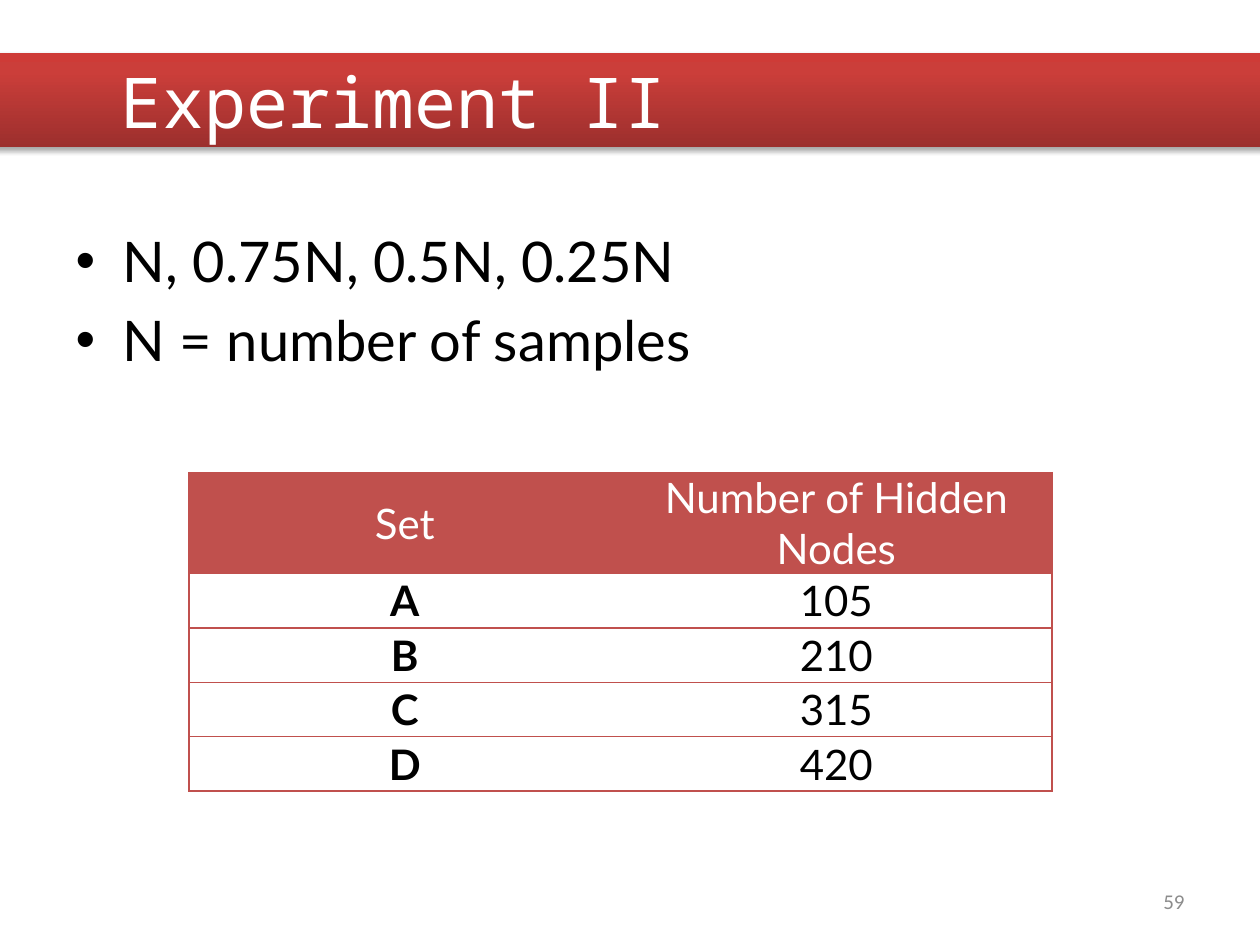
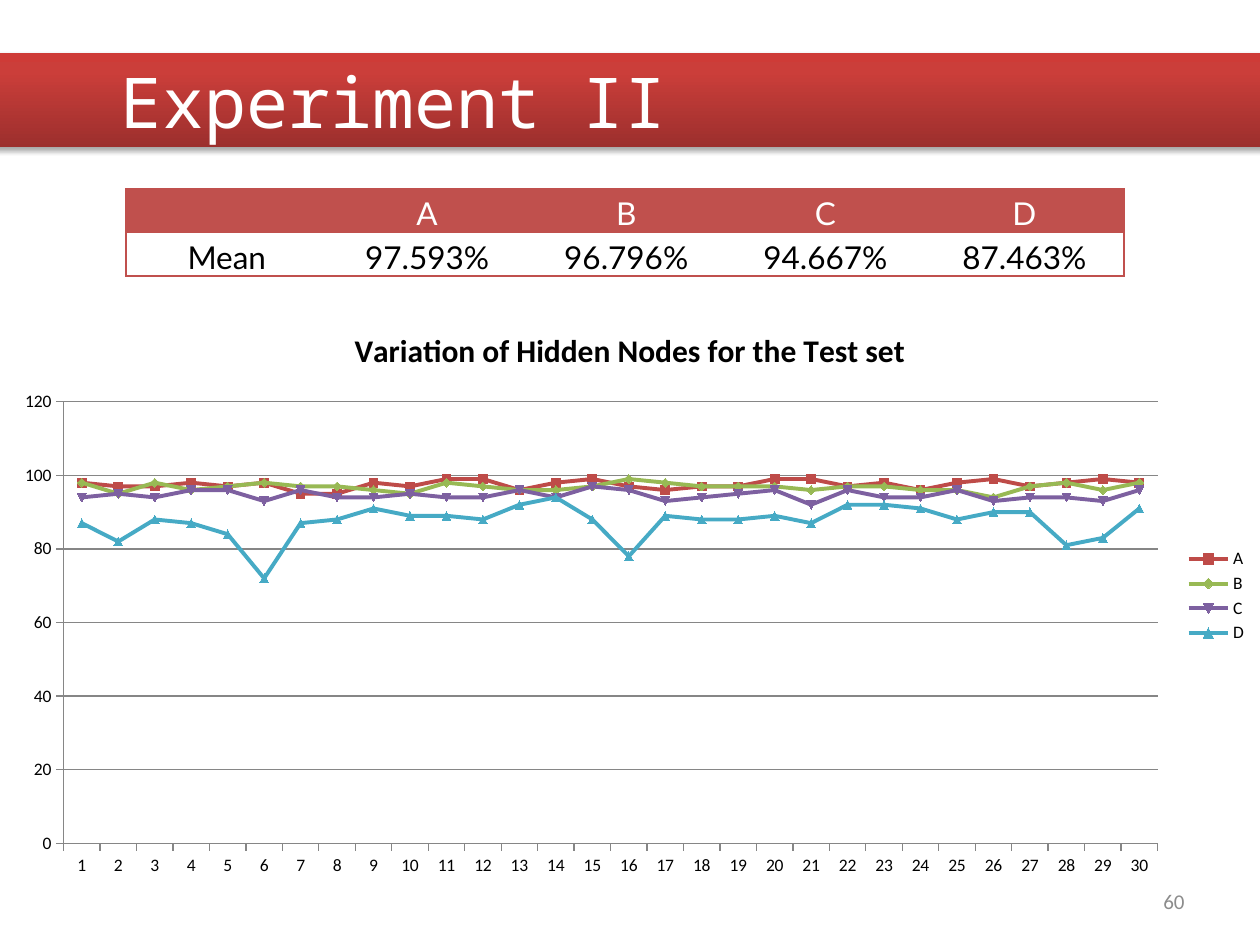
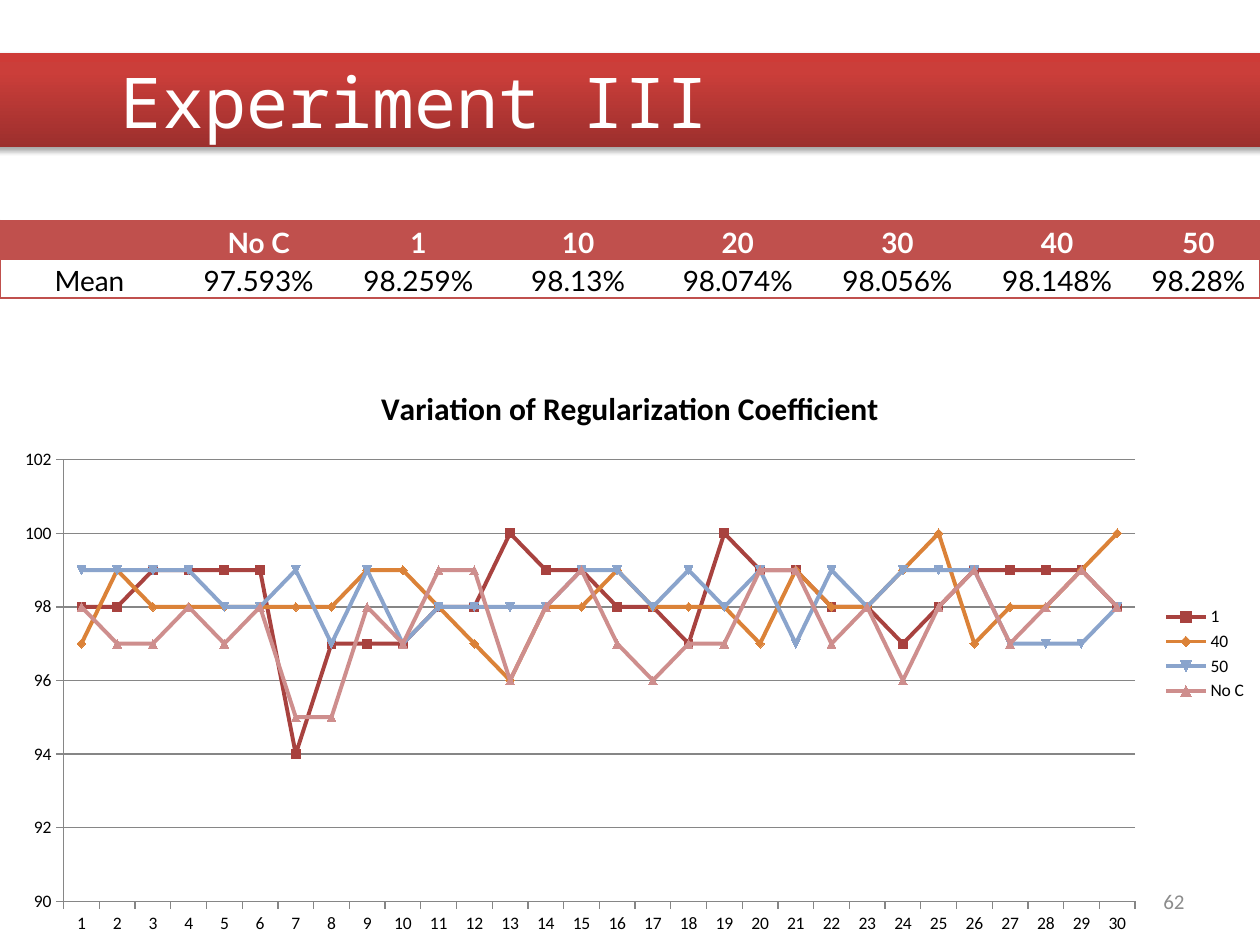
"""Build three slides on the results of neural network experiments."""
import pptx
import pptx.chart.data
import pptx.dml.color
import pptx.enum.chart
import pptx.enum.text
import pptx.oxml
import pptx.oxml.ns
import pptx.util

UNIT = pptx.util.Inches(0.25)
COLS, ROWS = 40, 30
RED, GRID, GREY = "C0504D", "868686", "8C8C8C"
WHITE, BLACK = "FFFFFF", "000000"
BODY, PLAIN, MONO = "Lato", "Calibri", "Noto Sans Mono"
BARE = "{2D5ABB26-0587-4C30-8999-92F81FD0307C}"
ALIGN = pptx.enum.text.PP_ALIGN
ANCHOR = pptx.enum.text.MSO_ANCHOR

HIDDEN = [
    ("A", "BE4B48", [98, 97, 97, 98, 97, 98, 95, 95, 98, 97, 99, 99, 96, 98, 99,
                     97, 96, 97, 97, 99, 99, 97, 98, 96, 98, 99, 97, 98, 99, 98]),
    ("B", "98B954", [98, 95, 98, 96, 97, 98, 97, 97, 96, 95, 98, 97, 96, 96, 97,
                     99, 98, 97, 97, 97, 96, 97, 97, 96, 96, 94, 97, 98, 96, 98]),
    ("C", "7D60A0", [94, 95, 94, 96, 96, 93, 96, 94, 94, 95, 94, 94, 96, 94, 97,
                     96, 93, 94, 95, 96, 92, 96, 94, 94, 96, 93, 94, 94, 93, 96]),
    ("D", "46AAC5", [87, 82, 88, 87, 84, 72, 87, 88, 91, 89, 89, 88, 92, 94, 88,
                     78, 89, 88, 88, 89, 87, 92, 92, 91, 88, 90, 90, 81, 83, 91]),
]
COEFFS = [
    ("1", "A8423F", [98, 98, 99, 99, 99, 99, 94, 97, 97, 97, 98, 98, 100, 99, 99,
                     98, 98, 97, 100, 99, 99, 98, 98, 97, 98, 99, 99, 99, 99, 98]),
    ("40", "DB8238", [97, 99, 98, 98, 98, 98, 98, 98, 99, 99, 98, 97, 96, 98, 98,
                      99, 98, 98, 98, 97, 99, 98, 98, 99, 100, 97, 98, 98, 99, 100]),
    ("50", "8AA4CC", [99, 99, 99, 99, 98, 98, 99, 97, 99, 97, 98, 98, 98, 98, 99,
                      99, 98, 99, 98, 99, 97, 99, 98, 99, 99, 99, 97, 97, 97, 98]),
    ("No C", "CE8E8D", HIDDEN[0][2]),
]


def paint(code):
    """Turn a hex string into a colour."""
    return pptx.dml.color.RGBColor.from_string(code)


def span(*cells):
    """Turn grid columns and rows into lengths."""
    return [round(cell * UNIT) for cell in cells]


def place(shape, *cells):
    """Move a shape to a box on the grid."""
    shape.left, shape.top, shape.width, shape.height = span(*cells)


def style(font, size, color, face=PLAIN, bold=False):
    """Format a font."""
    font.size, font.name, font.bold = pptx.util.Pt(size), face, bold
    font.color.rgb = paint(color)


def write(frame, text, size=12, color=BLACK, face=PLAIN, bold=False,
          align=ALIGN.LEFT, space=None):
    """Fill a text frame, one paragraph to a line."""
    frame.text = text
    for para in frame.paragraphs:
        para.alignment = align
        if space:
            para.line_spacing = space
        for run in para.runs:
            style(run.font, size, color, face, bold)


def extend(parent, *parts):
    """Append drawing elements given as XML."""
    for name, attrs, inner in parts:
        parent.append(pptx.oxml.parse_xml(
            f'<a:{name} {pptx.oxml.ns.nsdecls("a")} {attrs}>{inner}</a:{name}>'))


def solid(code, inner=""):
    """Give the XML of a colour."""
    return f'<a:srgbClr val="{code}">{inner}</a:srgbClr>'


def band(title, text):
    """Make the title a red band across the slide."""
    place(title, -0.68, 1.68, COLS + 1.32, 3)
    stops = "".join(f'<a:gs pos="{share * 1000}">{solid(code)}</a:gs>' for share, code
                    in [(0, "9C2F2D"), (80, "CB3E3A"), (100, "CE3B37")])
    shade = solid(BLACK, '<a:alpha val="35000"/>')
    extend(title.element.spPr,
           ("prstGeom", 'prst="roundRect"', "<a:avLst/>"),
           ("gradFill", 'rotWithShape="1"',
            f'<a:gsLst>{stops}</a:gsLst><a:lin ang="16200000" scaled="0"/>'),
           ("effectLst", "", '<a:outerShdw blurRad="39400" dist="22900" dir="5400000" '
            f'rotWithShape="0">{shade}</a:outerShdw>'))
    frame = title.text_frame
    frame.auto_size = pptx.enum.text.MSO_AUTO_SIZE.NONE
    frame.vertical_anchor = ANCHOR.MIDDLE
    frame.margin_left = pptx.util.Inches(1.13)
    write(frame, text, size=40, color=WHITE, face=MONO)


def page(deck, layout, title, number):
    """Add a slide with its band and number."""
    slide = deck.slides.add_slide(deck.slide_layouts.get_by_name(layout))
    band(slide.shapes.title, title)
    frame = slide.shapes.add_textbox(*span(28.68, 27.8, 9.32, 1.6)).text_frame
    frame.word_wrap = True
    frame.vertical_anchor = ANCHOR.MIDDLE
    write(frame, str(number), color=GREY, align=ALIGN.RIGHT)
    return slide


def points(body, lines):
    """Fill the body with bullets."""
    place(body, 2, 7, 36, 19.8)
    write(body.text_frame, "\n".join(lines), size=32, face=BODY)
    body.text_frame.paragraphs[0].space_before = pptx.util.Pt(0)


def edge(cell, sides):
    """Draw red borders on the named sides of a cell."""
    extend(cell._tc.get_or_add_tcPr(),
           *((f"ln{side}", 'w="12700"', f"<a:solidFill>{solid(RED)}</a:solidFill>")
             for side in sides))


def table(slide, left, top, widths, heights, rows, size, space=None,
          strong=False, keys=False):
    """Add a table with a red head row and an outline."""
    grid = slide.shapes.add_table(
        len(rows), len(widths), *span(left, top, sum(widths), sum(heights))).table
    grid._tbl.tblPr.find(pptx.oxml.ns.qn("a:tableStyleId")).text = BARE
    for col, width in zip(grid.columns, span(*widths)):
        col.width = width
    for row, height in zip(grid.rows, span(*heights)):
        row.height = height
    last = len(widths) - 1
    for r, texts in enumerate(rows):
        for c, text in enumerate(texts):
            cell = grid.cell(r, c)
            cell.margin_left = cell.margin_right = pptx.util.Inches(0.07)
            cell.margin_top = cell.margin_bottom = 0
            cell.vertical_anchor = ANCHOR.MIDDLE
            edge(cell, "L" * (c == 0) + "R" * (c == last) + "TB")
            if r == 0:
                cell.fill.solid()
                cell.fill.fore_color.rgb = paint(RED)
            else:
                cell.fill.background()
            if text:
                write(cell.text_frame, text, size=size, face=BODY, space=space,
                      color=BLACK if r else WHITE, align=ALIGN.CENTER,
                      bold=keys and c == 0 if r else strong)


def chart(slide, top, title, series, low, high, step):
    """Add a line chart of thirty runs."""
    kinds = pptx.enum.chart
    data = pptx.chart.data.CategoryChartData()
    data.categories = [str(run) for run in range(1, 31)]
    for name, _, values in series:
        data.add_series(name, values)
    plot = slide.shapes.add_chart(
        kinds.XL_CHART_TYPE.LINE_MARKERS, *span(0, top, COLS, 18.48), data).chart
    style(plot.font, 10, BLACK)
    plot.has_title = True
    write(plot.chart_title.text_frame, title, size=18, bold=True, align=ALIGN.CENTER)
    plot.has_legend = True
    plot.legend.position = kinds.XL_LEGEND_POSITION.RIGHT
    plot.legend.include_in_layout = False
    plot.plots[0].vary_by_categories = False
    for line, (_, color, _) in zip(plot.plots[0].series, series):
        line.smooth = False
        line.format.line.width = pptx.util.Pt(2.25)
        line.format.line.color.rgb = paint(color)
        line.marker.format.fill.solid()
        line.marker.format.fill.fore_color.rgb = paint(color)
        line.marker.format.line.color.rgb = paint(color)
    scale = plot.value_axis
    scale.minimum_scale, scale.maximum_scale, scale.major_unit = low, high, step
    scale.has_major_gridlines = True
    for part in (scale, plot.category_axis, scale.major_gridlines):
        part.format.line.color.rgb = paint(GRID)
        part.format.line.width = pptx.util.Pt(0.75)
    for axis in (scale, plot.category_axis):
        axis.major_tick_mark = kinds.XL_TICK_MARK.OUTSIDE


def main():
    """Build and save the deck."""
    deck = pptx.Presentation()
    deck.slide_width, deck.slide_height = span(COLS, ROWS)

    slide = page(deck, "Title and Content", "Experiment II", 59)
    points(slide.placeholders[1], ["N, 0.75N, 0.5N, 0.25N", "N = number of samples"])
    table(slide, 6, 15, [13.7] * 2, [3.2] + [1.73] * 4,
          [("Set", "Number of Hidden Nodes"), ("A", "105"), ("B", "210"),
           ("C", "315"), ("D", "420")], size=24, keys=True)

    slide = page(deck, "Title Only", "Experiment II", 60)
    chart(slide, 9.68, "Variation of Hidden Nodes for the Test set", HIDDEN, 0, 120, 20)
    table(slide, 4, 6, [6.4] + [6.32] * 4, [1.38] * 2,
          [("", "A", "B", "C", "D"),
           ("Mean", "97.593%", "96.796%", "94.667%", "87.463%")], size=18, space=1.15)

    slide = page(deck, "Title Only", "Experiment III", 62)
    table(slide, 0, 7, [5.68] + [5.07] * 6 + [3.9], [1.22] * 2,
          [("", "No C", "1", "10", "20", "30", "40", "50"),
           ("Mean", "97.593%", "98.259%", "98.13%", "98.074%", "98.056%",
            "98.148%", "98.28%")], size=16, space=1.15, strong=True)
    chart(slide, 11.52, "Variation of Regularization Coefficient", COEFFS, 90, 102, 2)

    deck.save("out.pptx")


if __name__ == "__main__":
    main()
